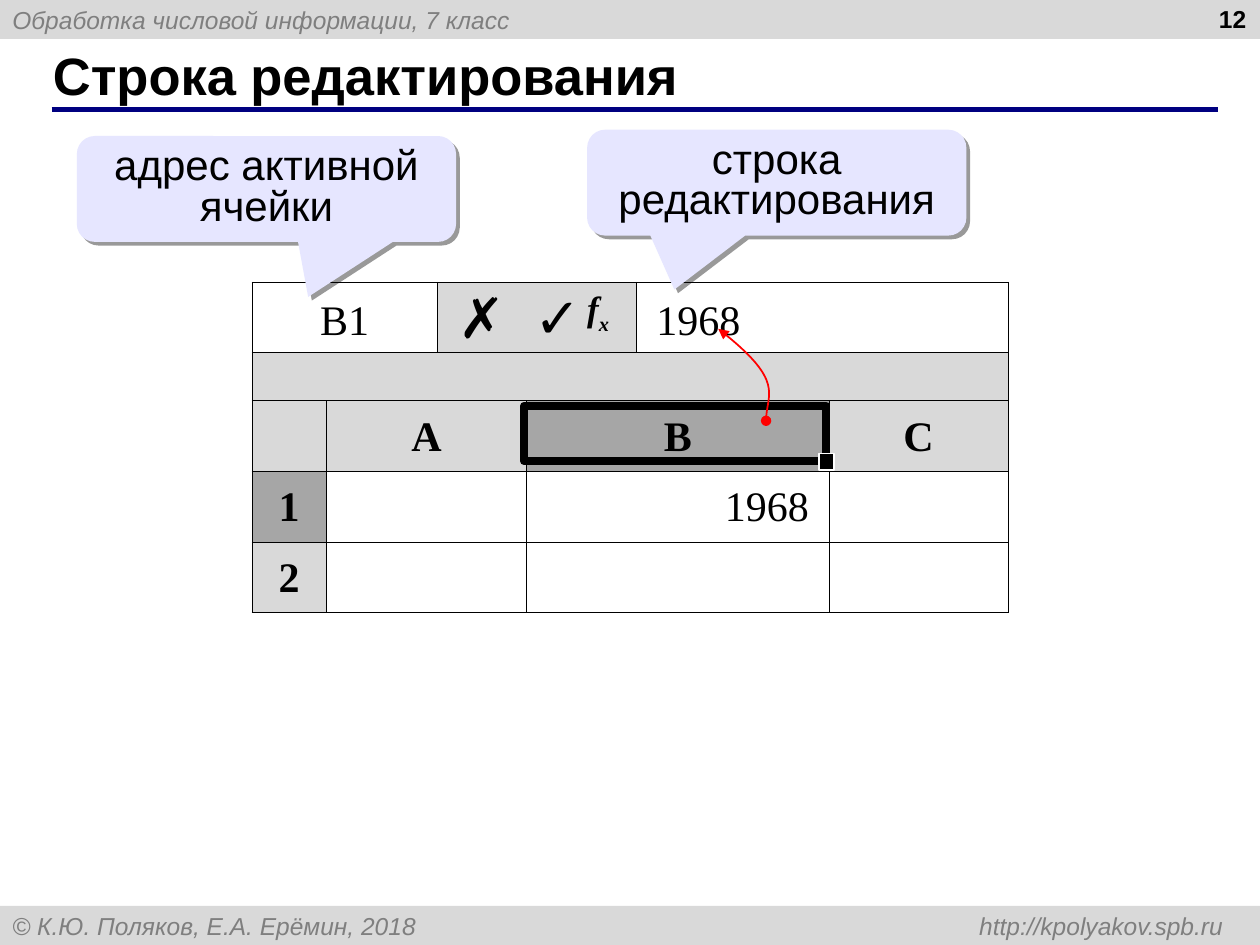
from lxml.etree import SubElement
from pptx import Presentation
from pptx.dml.color import RGBColor
from pptx.enum.shapes import MSO_CONNECTOR, MSO_SHAPE
from pptx.enum.text import MSO_ANCHOR as Anchor, PP_ALIGN as Align
from pptx.oxml import parse_xml
from pptx.oxml.ns import nsdecls, qn
from pptx.util import Emu, Inches, Pt

COLORS = {
    "black": "000000", "white": "FFFFFF", "band": "D9D9D9", "active": "A6A6A6",
    "muted": "7F7F7F", "rule": "000080", "callout": "E6E6FF", "arrow": "FF0000",
}
SANS, SERIF = "Arial", "Times New Roman"
UNIT = Inches(0.1)  # the page is a grid of 100 columns by 75 rows
COLUMNS = (5.9, 8.8, 7.1, 8.7, 15.3, 14.2)
ROWS = (5.2, 3.8, 5.2, 5.2, 5.2)


def grid(*steps):
    """Turn grid steps into lengths."""
    return [Emu(round(step * UNIT)) for step in steps]


def rgb(name):
    return RGBColor.from_string(COLORS[name])


def style(para, size, font=SANS, color="black", bold=False, italic=False):
    for span in para.runs:
        span.font.size = Pt(size)
        span.font.name = font
        span.font.color.rgb = rgb(color)
        span.font.bold = bold
        span.font.italic = italic


def add_tab(para, position, align):
    stops = SubElement(para._p.get_or_add_pPr(), qn("a:tabLst"))
    SubElement(stops, qn("a:tab"), pos=str(grid(position)[0]), algn=align)


def set_insets(frame, left, top, right, bottom):
    frame.margin_left, frame.margin_top, frame.margin_right, frame.margin_bottom = grid(
        left, top, right, bottom)


def add_box(page, area, text, insets=(0, 0, 0, 0)):
    box = page.shapes.add_textbox(*grid(*area))
    frame = box.text_frame
    frame.word_wrap = True
    set_insets(frame, *insets)
    frame.text = text
    return frame.paragraphs[0]


def add_shape(page, kind, area, fill=None, line=None, width=0):
    shape = page.shapes.add_shape(kind, *grid(*area))
    shape.shadow.inherit = False
    if fill:
        shape.fill.solid()
        shape.fill.fore_color.rgb = rgb(fill)
    else:
        shape.fill.background()
    if line:
        shape.line.color.rgb = rgb(line)
        shape.line.width = Pt(width)
    else:
        shape.line.fill.background()
    return shape


def add_band(page, top, text, tab=None):
    band = add_shape(page, MSO_SHAPE.RECTANGLE, (0, top, 100, 3.1), "band")
    band.text_frame.vertical_anchor = Anchor.MIDDLE
    para = band.text_frame.paragraphs[0]
    para.text = text
    para.alignment = Align.LEFT
    if tab:
        add_tab(para, tab, "r")
    style(para, 14, color="muted", italic=True)


def add_heading(page, text):
    title = page.shapes.title
    title.left, title.top, title.width, title.height = grid(3.4, 3.3, 91.6, 5.2)
    frame = title.text_frame
    frame.text = text
    frame.vertical_anchor = Anchor.MIDDLE
    set_insets(frame, 0.8, 0, 0.8, 0)
    frame.paragraphs[0].alignment = Align.LEFT
    style(frame.paragraphs[0], 30, bold=True)

    rule = page.shapes.add_connector(MSO_CONNECTOR.STRAIGHT, *grid(4.1, 8.7, 96.7, 8.7))
    rule.line.color.rgb = rgb("rule")
    rule.line.width = Pt(3)
    SubElement(rule._element.spPr, qn("a:effectLst"))


def add_callout(page, left, top, text, tip):
    callout = add_shape(page, MSO_SHAPE.ROUNDED_RECTANGULAR_CALLOUT,
                        (left, top, 30.1, 8.4), "callout")
    for index, value in enumerate((*tip, 0.17)):
        callout.adjustments[index] = value
    effects = callout._element.spPr.find(qn("a:effectLst"))
    effects.append(parse_xml(
        f'<a:outerShdw {nsdecls("a")} blurRad="0" dist="{Pt(3)}" dir="2700000" algn="tl">'
        f'<a:srgbClr val="{COLORS["black"]}"><a:alpha val="40000"/></a:srgbClr>'
        '</a:outerShdw>'))
    frame = callout.text_frame
    frame.vertical_anchor = Anchor.MIDDLE
    para = frame.paragraphs[0]
    para.text = text
    para.alignment = Align.CENTER
    para.line_spacing = 0.8
    style(para, 24)


def set_borders(cell, sides):
    props = cell._tc.get_or_add_tcPr()
    for side in "LRTB":
        line = SubElement(props, qn(f"a:ln{side}"), w=str(Pt(0.45)))
        if side in sides:
            fill = SubElement(line, qn("a:solidFill"))
            SubElement(fill, qn("a:srgbClr"), val=COLORS["black"])
        else:
            SubElement(line, qn("a:noFill"))


def fill_cell(table, row, col, span=1, text="", fill=None, align=Align.CENTER,
              bold=False, sides="LRTB"):
    for part in range(col, col + span):
        cell = table.cell(row, part)
        set_borders(cell, sides)
        cell.margin_top = cell.margin_bottom = Inches(0.03)
        if fill:
            cell.fill.solid()
            cell.fill.fore_color.rgb = rgb(fill)
        else:
            cell.fill.background()
    cell = table.cell(row, col)
    if span > 1:
        cell.merge(table.cell(row, col + span - 1))
    if text:
        set_insets(cell, 1.6, 0.5, 1.6, 0.5)
        cell.vertical_anchor = Anchor.MIDDLE if row == 0 else Anchor.TOP
        para = cell.text_frame.paragraphs[0]
        para.text = text
        para.alignment = align
        para.line_spacing = 1.15
        style(para, 24, SERIF, bold=bold)


def add_sheet(page):
    area = grid(20, 22.4, sum(COLUMNS), sum(ROWS))
    table = page.shapes.add_table(len(ROWS), len(COLUMNS), *area).table
    table.first_row = table.horz_banding = False
    for column, width in zip(table.columns, grid(*COLUMNS)):
        column.width = width
    for row, height in zip(table.rows, grid(*ROWS)):
        row.height = height

    fill_cell(table, 0, 0, 2, "B1")
    fill_cell(table, 0, 2, fill="band", sides="LTB")
    fill_cell(table, 0, 3, fill="band", sides="RTB")
    fill_cell(table, 0, 4, 2, "1968", align=Align.LEFT)
    for col, span, sides in ((0, 1, "LTB"), (1, 2, "TB"), (3, 2, "TB"), (5, 1, "RTB")):
        fill_cell(table, 1, col, span, fill="band", sides=sides)

    lines = (
        ("", "A", "B", "C"),
        ("1", "", "1968", ""),
        ("2", "", "", ""),
    )
    for row, texts in enumerate(lines, start=2):
        for place, (text, col, span) in enumerate(zip(texts, (0, 1, 3, 5), (1, 2, 2, 1))):
            header = row == 2 or place == 0
            active = (row, place) in ((2, 2), (3, 0))
            fill = ("active" if active else "band") if header else None
            align = Align.CENTER if header else Align.RIGHT
            fill_cell(table, row, col, span, text, fill, align, bold=header)


def add_edit_buttons(page):
    marks = add_box(page, (36.4, 22.4, 13.6, 5.6), "✗\t✓")
    add_tab(marks, 6, "l")
    style(marks, 32)
    function = add_box(page, (45.9, 22.7, 2.9, 4.4), "f", (0.7, 0, 0, 0))
    index = function.add_run()
    index.text = "x"
    style(function, 20, SERIF, bold=True, italic=True)
    index._r.get_or_add_rPr().set("baseline", "-30000")


def add_curved_arrow(page, start, *controls):
    """Draw a Bezier arrow from start through two control points to the end."""
    builder = page.shapes.build_freeform(*grid(*start))
    builder.add_line_segments([grid(*point) for point in controls], close=False)
    arrow = builder.convert_to_shape()
    arrow.shadow.inherit = False
    arrow.fill.background()
    arrow.line.color.rgb = rgb("arrow")
    arrow.line.width = Pt(1)
    outline = arrow._element.spPr.find(".//" + qn("a:path"))
    curve = SubElement(outline, qn("a:cubicBezTo"))
    for segment in outline.findall(qn("a:lnTo")):
        curve.append(segment[0])
        outline.remove(segment)
    line = arrow.line._get_or_add_ln()
    SubElement(line, qn("a:headEnd"), type="oval")
    SubElement(line, qn("a:tailEnd"), type="triangle")


def main():
    deck = Presentation()
    deck.slide_width, deck.slide_height = grid(100, 75)
    page = deck.slides.add_slide(deck.slide_layouts[5])
    add_band(page, 0, "Обработка числовой информации, 7 класс")
    add_band(page, 71.9, "© К.Ю. Поляков, Е.А. Ерёмин, 2018\thttp://kpolyakov.spb.ru", 96.1)
    add_heading(page, "Строка редактирования")
    number = add_box(page, (76.6, -0.2, 23.3, 5.2), "12", (1, 0.5, 1, 0.5))
    number.alignment = Align.RIGHT
    style(number, 14, bold=True)
    add_sheet(page)
    add_shape(page, MSO_SHAPE.RECTANGLE, (41.6, 32.2, 24, 4.4), None, "black", 4.5)
    add_shape(page, MSO_SHAPE.RECTANGLE, (65, 36, 1.2, 1.3), "black", "white", 0.75)
    add_edit_buttons(page)
    add_curved_arrow(page, (60.8, 33.4), (60.8, 31.4), (62.2, 30.1), (57, 26.1))
    add_callout(page, 46.6, 10.3, "строка редактирования", (-0.27, 1.01))
    add_callout(page, 6.1, 10.8, "адрес активной ячейки", (0.11, 1.02))
    deck.save("out.pptx")


if __name__ == "__main__":
    main()
